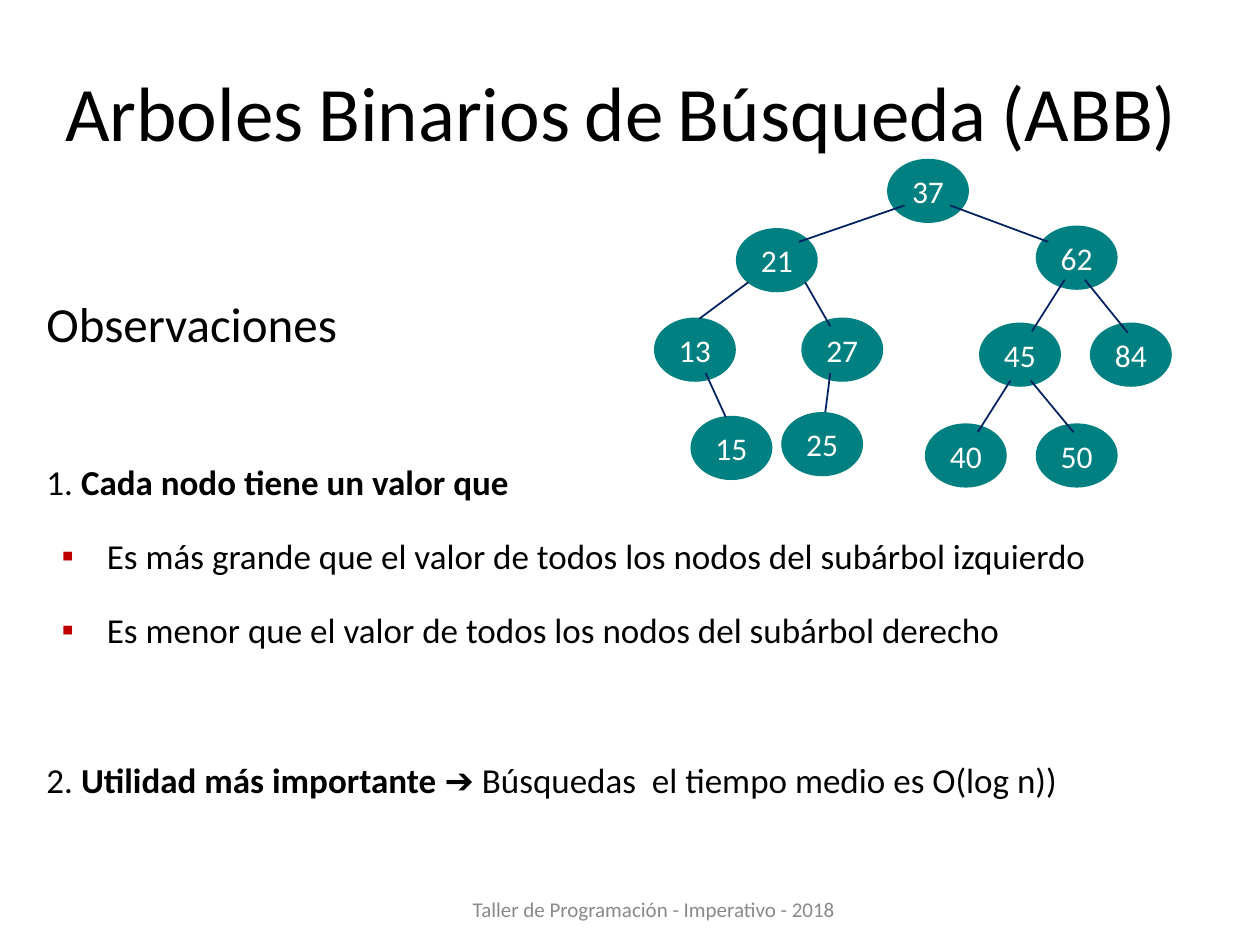
from lxml.etree import SubElement
from pptx import Presentation
from pptx.dml.color import RGBColor
from pptx.enum.shapes import MSO_CONNECTOR, MSO_SHAPE
from pptx.enum.text import MSO_ANCHOR as Anchor, PP_ALIGN as Align
from pptx.oxml.ns import qn
from pptx.util import Inches, Pt

BLACK = RGBColor(0x00, 0x00, 0x00)
WHITE = RGBColor(0xFF, 0xFF, 0xFF)
TEAL = RGBColor(0x00, 0x80, 0x80)
NAVY = RGBColor(0x00, 0x20, 0x60)
RED = RGBColor(0xC0, 0x00, 0x00)
GRAY = RGBColor(0x89, 0x89, 0x89)

NODE_WIDTH, NODE_HEIGHT = 0.65, 0.51


def apply(target, values):
    for name, value in values.items():
        setattr(target, name, value)


class TreeSlide:
    font = "Calibri"
    body_format = {"alignment": Align.JUSTIFY, "line_spacing": 1.35, "space_before": Pt(10)}

    def __init__(self, slide):
        self.slide = slide

    def add_run(self, paragraph, text, size, color=BLACK, bold=False, font=None):
        run = paragraph.add_run()
        run.text = text
        apply(run.font, {"size": Pt(size), "bold": bold, "name": font or self.font})
        run.font.color.rgb = color

    def text_box(self, left, top, width, height, anchor=Anchor.TOP):
        box = self.slide.shapes.add_textbox(*map(Inches, (left, top, width, height)))
        apply(box.text_frame, {"word_wrap": True, "vertical_anchor": anchor})
        return box

    def shape(self, kind, left, top, width, height, fill):
        shape = self.slide.shapes.add_shape(kind, *map(Inches, (left, top, width, height)))
        shape.shadow.inherit = False
        shape.fill.solid()
        shape.fill.fore_color.rgb = fill
        shape.line.fill.background()
        shape.text_frame.vertical_anchor = Anchor.MIDDLE
        return shape

    def title(self, words):
        shape = self.shape(MSO_SHAPE.RECTANGLE, 0.42, 0.49, 9.07, 0.77, WHITE)
        shape.text_frame.word_wrap = True
        paragraph = shape.text_frame.paragraphs[0]
        paragraph.alignment = Align.LEFT
        for index, word in enumerate(words):
            if index:
                self.add_run(paragraph, " ", 36, NAVY, bold=True)
            self.add_run(paragraph, word, 44)

    def node(self, value, left, top):
        shape = self.shape(MSO_SHAPE.OVAL, left, top, NODE_WIDTH, NODE_HEIGHT, TEAL)
        shape.text_frame.word_wrap = False
        paragraph = shape.text_frame.paragraphs[0]
        paragraph.alignment = Align.CENTER
        self.add_run(paragraph, str(value), 18, WHITE)

    def edge(self, *ends):
        line = self.slide.shapes.add_connector(MSO_CONNECTOR.STRAIGHT, *map(Inches, ends))
        line.line.color.rgb = NAVY
        line.line.width = Pt(1)
        SubElement(line._element.spPr, qn("a:effectLst"))

    def bullet(self, paragraph):
        properties = paragraph._p.get_or_add_pPr()
        properties.set("marL", str(Inches(0.48)))
        properties.set("indent", str(-Inches(0.36)))
        color = SubElement(properties, qn("a:buClr"))
        SubElement(color, qn("a:srgbClr"), val=str(RED))
        SubElement(properties, qn("a:buFont"), typeface="Arial")
        SubElement(properties, qn("a:buChar"), char="▪")

    def body(self, items):
        frame = self.text_box(0.27, 2.12, 9.45, 4.31).text_frame
        for index, (runs, changes, bulleted) in enumerate(items):
            paragraph = frame.add_paragraph() if index else frame.paragraphs[0]
            apply(paragraph, {**self.body_format, **changes})
            if bulleted:
                self.bullet(paragraph)
            for text, options in runs:
                self.add_run(paragraph, text, **{"size": 20, **options})

    def footer(self, text):
        box = self.text_box(2.91, 6.98, 4.56, 0.4, Anchor.MIDDLE)
        paragraph = box.text_frame.paragraphs[0]
        apply(paragraph, {"alignment": Align.CENTER, "line_spacing": 1.35, "space_before": Pt(3)})
        self.add_run(paragraph, text, 12, GRAY)


# Left and top of each tree node
NODES = {
    37: (7.04, 1.26),
    62: (8.22, 1.79), 21: (5.84, 1.81),
    13: (5.19, 2.52), 27: (6.36, 2.52), 45: (7.77, 2.56), 84: (8.65, 2.56),
    15: (5.48, 3.30), 25: (6.20, 3.27), 40: (7.34, 3.36), 50: (8.22, 3.36),
}

# Start and end of each branch, level by level
EDGES = [
    (7.18, 1.63, 6.34, 1.92), (7.54, 1.63, 8.32, 1.92),
    (5.94, 2.24, 5.55, 2.53), (6.39, 2.24, 6.59, 2.59),
    (8.45, 2.22, 8.19, 2.63), (8.61, 2.22, 8.95, 2.64),
    (5.60, 2.96, 5.76, 3.31), (6.59, 2.96, 6.55, 3.27),
    (8.02, 3.02, 7.76, 3.43), (8.18, 3.02, 8.52, 3.43),
]

# Runs, paragraph changes and bullet flag of each body paragraph
BOLD = {"bold": True}
SECTION = {"space_before": Pt(53)}
BODY = [
    ([("Observaciones", {"size": 28})], {}, False),
    ([("1. ", {}), ("Cada nodo tiene un valor que", BOLD)], SECTION, False),
    ([("Es más grande que el valor de todos los nodos del subárbol izquierdo", {})], {}, True),
    ([("Es menor que el valor de todos los nodos del subárbol derecho", {})], {}, True),
    ([("2. ", {}), ("Utilidad más importante ", BOLD), ("➔", {"font": "Arial"}),
      (" Búsquedas  el tiempo medio es O(log n))", {})], SECTION, False),
]


def main():
    presentation = Presentation()
    presentation.slide_width, presentation.slide_height = Inches(10), Inches(7.5)
    page = TreeSlide(presentation.slides.add_slide(presentation.slide_layouts[6]))

    # Text and title
    page.body(BODY)
    page.title(["Arboles", "Binarios", "de", "Búsqueda", "(ABB)"])

    # Search tree
    for value, position in NODES.items():
        page.node(value, *position)
    for ends in EDGES:
        page.edge(*ends)

    page.footer("Taller de Programación - Imperativo - 2018")
    presentation.save("out.pptx")


if __name__ == "__main__":
    main()
